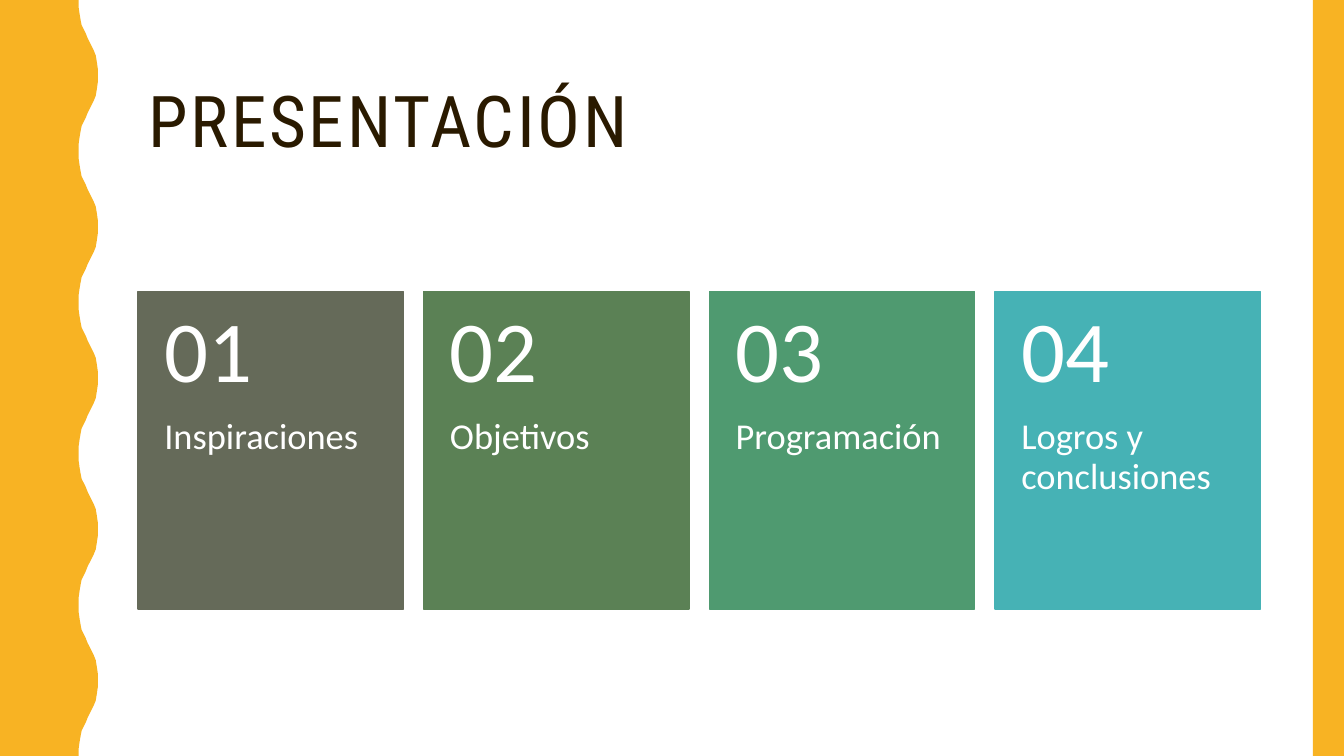
from dataclasses import dataclass

from pptx import Presentation
from pptx import util as u
from pptx.dml.color import RGBColor
from pptx.enum import shapes, text


@dataclass(frozen=True)
class Theme:
    """Colours, fonts and type sizes of the slide."""
    background: str = "FFFFFF"
    accent: str = "F8B323"
    ink: str = "2A1A00"
    card_text: str = "FFFFFF"
    card_fills: tuple = ("656A59", "5B8155", "4F9A70", "46B2B5")
    title_font: str = "Roboto Condensed"
    body_font: str = "Calibri"
    title_size: int = 51
    number_size: int = 62
    label_size: int = 26


THEME = Theme()
SLIDE_WIDTH, SLIDE_HEIGHT = 13.33, 7.5
TOPICS = ("Inspiraciones", "Objetivos", "Programación", "Logros y conclusiones")
HALF_WAVE = (
    (0.78, 0), (0.78, 0.07), (0.79, 0.14), (0.8, 0.2), (0.81, 0.25),
    (0.83, 0.29), (0.85, 0.33), (0.87, 0.38), (0.89, 0.42), (0.91, 0.46),
    (0.93, 0.5), (0.95, 0.55), (0.96, 0.61), (0.97, 0.68), (0.97, 0.75),
)
WAVE_PERIOD = 1.5


def paint(shape, color, line_width=None):
    """Give a shape a flat fill and an optional line of the same colour."""
    shape.shadow.inherit = False
    shape.fill.solid()
    shape.fill.fore_color.rgb = RGBColor.from_string(color)
    if line_width is None:
        shape.line.fill.background()
    else:
        shape.line.color.rgb = RGBColor.from_string(color)
        shape.line.width = u.Pt(line_width)


def add_rectangle(slide, box, color, line_width=None):
    """Add a plain rectangle filling the box."""
    lengths = [u.Inches(length) for length in box]
    shape = slide.shapes.add_shape(shapes.MSO_SHAPE.RECTANGLE, *lengths)
    paint(shape, color, line_width)


def add_text(slide, box, content, *, font, size, color, insets=(0.1, 0.05, 0.1, 0.05),
             anchor=text.MSO_ANCHOR.TOP, tracking=0):
    """Add a wrapped text box with one formatted paragraph."""
    frame = slide.shapes.add_textbox(*[u.Inches(length) for length in box]).text_frame
    frame.word_wrap = True
    frame.vertical_anchor = anchor
    (frame.margin_left, frame.margin_top,
     frame.margin_right, frame.margin_bottom) = [u.Inches(inset) for inset in insets]
    paragraph = frame.paragraphs[0]
    paragraph.line_spacing = 0.9
    run = paragraph.add_run()
    run.text = content
    run.font.name = font
    run.font.size = u.Pt(size)
    run.font.color.rgb = RGBColor.from_string(color)
    if tracking:
        run.font._element.set("spc", str(tracking * 100))


def add_wavy_band(slide, box):
    """Fill the left band, whose right edge repeats one wave down the box."""
    left, top, _, height = box
    wave = HALF_WAVE + tuple((x, WAVE_PERIOD - y) for x, y in HALF_WAVE[-2::-1])
    edge = [(left + x, top + y + index * WAVE_PERIOD)
            for index in range(round(height / WAVE_PERIOD)) for x, y in wave]
    builder = slide.shapes.build_freeform(u.Inches(left), u.Inches(top))
    outline = edge + [(left, top + height)]
    builder.add_line_segments([(u.Inches(x), u.Inches(y)) for x, y in outline], close=True)
    paint(builder.convert_to_shape(), THEME.accent)


def add_card(slide, box, number, label, color):
    """Add a card with its number above its label."""
    left, top, width, height = box
    number_height = height * 0.4
    add_rectangle(slide, box, color, line_width=1)
    add_text(slide, (left, top + number_height, width, height - number_height), label,
             font=THEME.body_font, size=THEME.label_size, color=THEME.card_text,
             insets=(0.26, 0, 0.26, 0.36))
    add_text(slide, (left, top, width, number_height), f"{number:02}",
             font=THEME.body_font, size=THEME.number_size, color=THEME.card_text,
             insets=(0.26, 0.18, 0.26, 0.18), anchor=text.MSO_ANCHOR.MIDDLE)


def add_cards(slide, box, card_width=2.63):
    """Spread the topic cards evenly across the box."""
    left, top, width, height = box
    pitch = (width - card_width) / (len(TOPICS) - 1)
    for index, (label, color) in enumerate(zip(TOPICS, THEME.card_fills)):
        add_card(slide, (left + index * pitch, top, card_width, height),
                 index + 1, label, color)


def main():
    """Build and save the presentation."""
    presentation = Presentation()
    presentation.slide_width = u.Inches(SLIDE_WIDTH)
    presentation.slide_height = u.Inches(SLIDE_HEIGHT)
    slide = presentation.slides.add_slide(presentation.slide_layouts[6])
    slide.background.fill.solid()
    slide.background.fill.fore_color.rgb = RGBColor.from_string(THEME.background)
    add_wavy_band(slide, (0, 0, 0.97, SLIDE_HEIGHT))
    add_rectangle(slide, (13.02, 0, 0.31, SLIDE_HEIGHT), THEME.accent)
    add_text(slide, (1.37, 0.42, 11.13, 1.63), "PRESENTACIÓN",
             font=THEME.title_font, size=THEME.title_size, color=THEME.ink,
             anchor=text.MSO_ANCHOR.MIDDLE, tracking=2)
    add_cards(slide, (1.37, 2.89, 11.13, 3.15))
    presentation.save("out.pptx")


if __name__ == "__main__":
    main()
